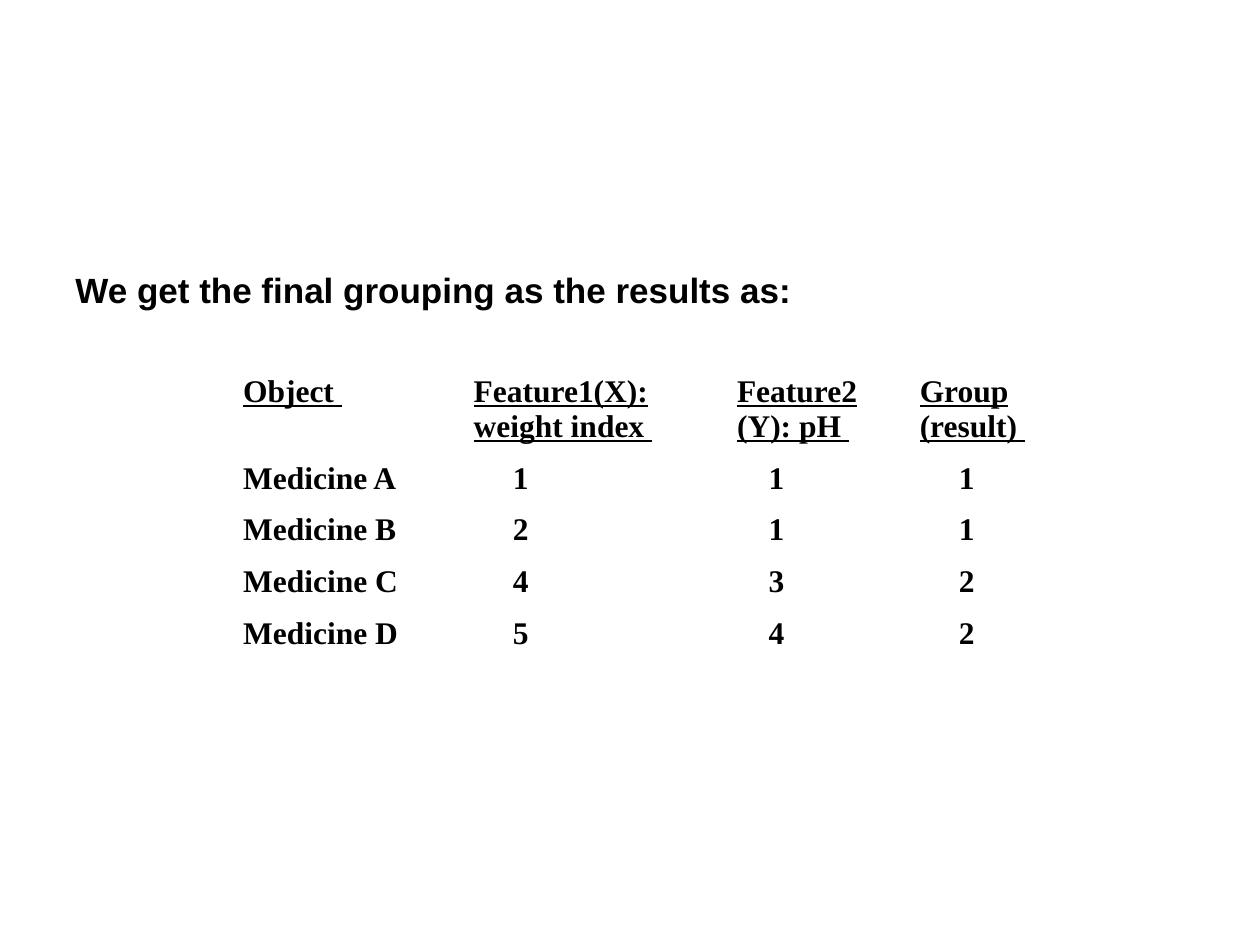
from pptx import Presentation
from pptx.dml.color import RGBColor
from pptx.enum.text import PP_ALIGN
from pptx.util import Inches, Pt

# Content
HEADING = "We get the final grouping as the results as:"
HEADERS = [
    ["Object "],
    ["Feature1(X):", "weight index "],
    ["Feature2", "(Y): pH "],
    ["Group", "(result) "],
]
RESULTS = [
    ("Medicine A", 1, 1, 1),
    ("Medicine B", 2, 1, 1),
    ("Medicine C", 4, 3, 2),
    ("Medicine D", 5, 4, 2),
]

# Theme and grid, in inches
BLACK = RGBColor(0, 0, 0)
THEME = {
    "heading": {"name": "Arial", "size": Pt(20), "bold": True},
    "header": {"name": "Times New Roman", "size": Pt(18), "bold": True, "underline": True},
    "body": {"name": "Times New Roman", "size": Pt(18), "bold": True, "underline": False},
}
SLIDE_WIDTH, SLIDE_HEIGHT = 10, 7.5
HEADING_BOX = (0.5, 2.08, 8, 0.43)
TABLE_LEFT, TABLE_TOP = 1.83, 2.92
COLUMN_WIDTHS = [1.83, 2.09, 1.45, 1.63]
VALUE_INDENTS = [0, 0.31, 0.25, 0.31]
ROW_HEIGHTS = [0.69] + [0.41] * len(RESULTS)


def write(frame, lines, style, alignment=PP_ALIGN.LEFT, indent=0):
    """Fill a text frame with one paragraph per line."""
    for number, line in enumerate(lines):
        paragraph = frame.paragraphs[0] if number == 0 else frame.add_paragraph()
        paragraph.alignment = alignment
        if indent:
            paragraph._p.get_or_add_pPr().set("marL", str(Inches(indent)))
        run = paragraph.add_run()
        run.text = line
        for name, value in THEME[style].items():
            setattr(run.font, name, value)
        run.font.color.rgb = BLACK


presentation = Presentation()
presentation.slide_width = Inches(SLIDE_WIDTH)
presentation.slide_height = Inches(SLIDE_HEIGHT)
slide = presentation.slides.add_slide(presentation.slide_layouts[6])

# Results table
table = slide.shapes.add_table(
    len(ROW_HEIGHTS), len(COLUMN_WIDTHS), Inches(TABLE_LEFT), Inches(TABLE_TOP),
    Inches(sum(COLUMN_WIDTHS)), Inches(sum(ROW_HEIGHTS))).table
table.first_row = table.horz_banding = False
for column, width in zip(table.columns, COLUMN_WIDTHS):
    column.width = Inches(width)

rows = [HEADERS] + [[[str(value)] for value in result] for result in RESULTS]
for row_number, (row, height) in enumerate(zip(rows, ROW_HEIGHTS)):
    table.rows[row_number].height = Inches(height)
    is_header = row_number == 0
    for column_number, lines in enumerate(row):
        cell = table.cell(row_number, column_number)
        cell.fill.background()
        write(cell.text_frame, lines, "header" if is_header else "body", PP_ALIGN.JUSTIFY,
              0 if is_header else VALUE_INDENTS[column_number])

# Heading
heading = slide.shapes.add_textbox(*map(Inches, HEADING_BOX))
heading.text_frame.word_wrap = True
write(heading.text_frame, [HEADING], "heading")

presentation.save("out.pptx")
